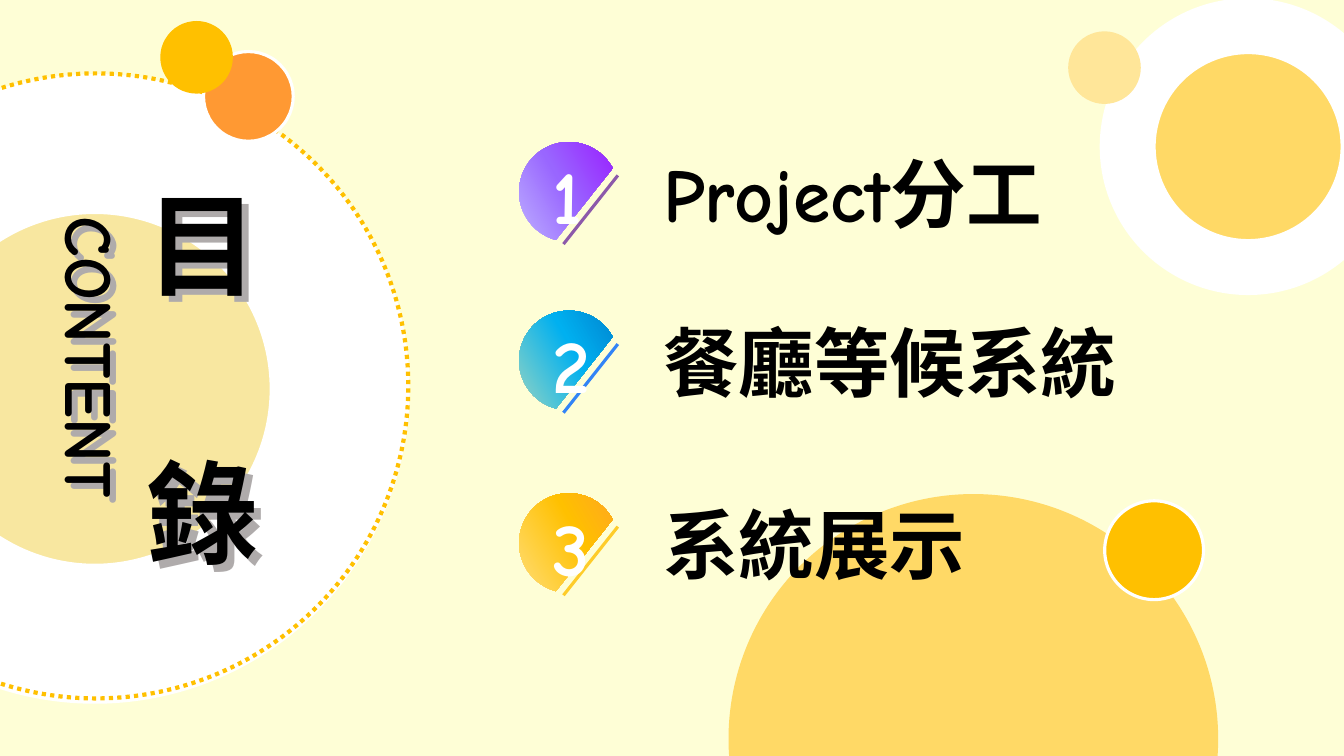
from lxml.etree import SubElement
from pptx import Presentation
from pptx.dml.color import RGBColor
from pptx.enum.dml import MSO_LINE
from pptx.enum.shapes import MSO_CONNECTOR, MSO_SHAPE
from pptx.enum.text import MSO_AUTO_SIZE
from pptx.oxml import parse_xml
from pptx.oxml.ns import nsdecls, qn
from pptx.util import Cm, Pt

COLOURS = {
    "background": "FEFED6", "cream": "F8E7A0", "yellow": "FFD966",
    "pale": "FFE699", "amber": "FFC000", "orange": "FF9933",
    "white": "FFFFFF", "black": "000000", "grey": "AFABAB",
    "lavender": "CCCCFF", "violet": "9966FF", "purple": "9900FF", "plum": "7030A0",
    "mint": "C5E0B4", "sky": "00B0F0", "ocean": "0070C0", "blue": "0066FF",
}


class SlideBuilder:
    font = "Comic Neue"

    def __init__(self, slide):
        self.slide = slide

    def colour(self, name):
        return RGBColor.from_string(COLOURS[name])

    def background(self, name):
        fill = self.slide.background.fill
        fill.solid()
        fill.fore_color.rgb = self.colour(name)

    def circle(self, left, top, size, fill=None, line=None, width=0, dash=None):
        shape = self.slide.shapes.add_shape(
            MSO_SHAPE.OVAL, Cm(left), Cm(top), Cm(size), Cm(size))
        shape.shadow.inherit = False
        if fill:
            shape.fill.solid()
            shape.fill.fore_color.rgb = self.colour(fill)
        else:
            shape.fill.background()
        if line:
            shape.line.color.rgb = self.colour(line)
            shape.line.width = Pt(width)
            shape.line.dash_style = dash
        else:
            shape.line.fill.background()

    def chord(self, shapes, left, top, size, stops):
        shape = shapes.add_shape(
            MSO_SHAPE.CHORD, Cm(left), Cm(top), Cm(size), Cm(size))
        shape.shadow.inherit = False
        shape.adjustments[0] = 27
        shape.adjustments[1] = 162.92
        shape.rotation = 60.1
        shape.line.fill.background()
        marks = "".join(
            f'<a:gs pos="{position * 1000}"><a:srgbClr val="{COLOURS[name]}"/></a:gs>'
            for position, name in stops)
        gradient = parse_xml(
            f'<a:gradFill {nsdecls("a")} rotWithShape="1"><a:gsLst>{marks}</a:gsLst>'
            '<a:lin ang="16200000" scaled="0"/></a:gradFill>')
        shape._element.spPr.find(qn("a:prstGeom")).addnext(gradient)

    def slash(self, shapes, start, end, name):
        connector = shapes.add_connector(
            MSO_CONNECTOR.STRAIGHT, *(Cm(value) for value in start + end))
        connector.line.color.rgb = self.colour(name)
        connector.line.width = Pt(2.25)
        properties = connector._element.spPr
        SubElement(properties.find(".//" + qn("a:srgbClr")), qn("a:alpha"), val="80000")
        SubElement(properties, qn("a:effectLst"))

    def text(self, shapes, box, lines, size, name, wrap=True, vertical=False, gap=0):
        shape = shapes.add_textbox(*(Cm(value) for value in box))
        frame = shape.text_frame
        frame.word_wrap = wrap
        frame.auto_size = MSO_AUTO_SIZE.SHAPE_TO_FIT_TEXT
        if vertical:
            frame._txBody.bodyPr.set("vert", "eaVert")
        for index, line in enumerate(lines):
            paragraph = frame.add_paragraph() if index else frame.paragraphs[0]
            if index:
                paragraph.space_before = Pt(gap)
            run = paragraph.add_run()
            run.text = line
            run.font.name = self.font
            run.font.size = Pt(size)
            run.font.bold = True
            run.font.color.rgb = self.colour(name)

    def shadowed_text(self, box, lines, size, **options):
        left, top, width, height = box
        group = self.slide.shapes.add_group_shape()
        for name, shift in (("grey", 0.16), ("black", 0)):
            self.text(group.shapes, (left + shift, top + shift, width, height),
                      lines, size, name, wrap=False, **options)

    def agenda_item(self, top, number, title, stops, line):
        group = self.slide.shapes.add_group_shape()
        self.chord(group.shapes, 13.08, top, 2.51, stops)
        self.slash(group.shapes, (14.2, top + 2.57), (15.57, top + 0.84), line)
        self.text(group.shapes, (13.67, top + 0.06, 1.98, 2.57), [number], 54, "white")
        self.text(self.slide.shapes, (16.46, top, 12.22, 2.57), [title], 54, "black")


def main():
    presentation = Presentation()
    presentation.slide_width = Cm(33.87)
    presentation.slide_height = Cm(19.05)
    builder = SlideBuilder(presentation.slides.add_slide(presentation.slide_layouts[6]))

    builder.background("background")
    builder.circle(-3.78, 3.63, 12.34, "cream", "white", 100)
    builder.circle(28.42, 0.66, 6.07, "yellow", "white", 40)
    builder.circle(18.36, 12.45, 12.34, "yellow")
    builder.circle(26.92, 0.79, 1.83, "pale")

    builder.shadowed_text((3.45, 4.29, 3.38, 10.52), ["目", "錄"], 80, gap=96)
    builder.shadowed_text((0.89, 5.21, 2.57, 8.92), ["CONTENT"], 48, vertical=True)

    agenda = [
        (3.58, "Project分工", [(0, "lavender"), (49, "violet"), (100, "purple")], "plum"),
        (7.83, "餐廳等候系統", [(0, "mint"), (55, "sky"), (100, "ocean")], "blue"),
        (12.43, "系統展示", [(0, "pale"), (57, "amber"), (100, "orange")], "amber"),
    ]
    for number, (top, title, stops, line) in enumerate(agenda, 1):
        builder.agenda_item(top, str(number), title, stops, line)

    builder.circle(27.84, 12.62, 2.49, "amber", "white", 2.25)
    builder.circle(-5.46, 1.85, 15.75, None, "amber", 3, MSO_LINE.ROUND_DOT)
    builder.circle(5.13, 1.3, 2.26, "orange", "white", 2.25)
    builder.circle(4.04, 0.53, 1.83, "amber")

    presentation.save("out.pptx")


if __name__ == "__main__":
    main()
